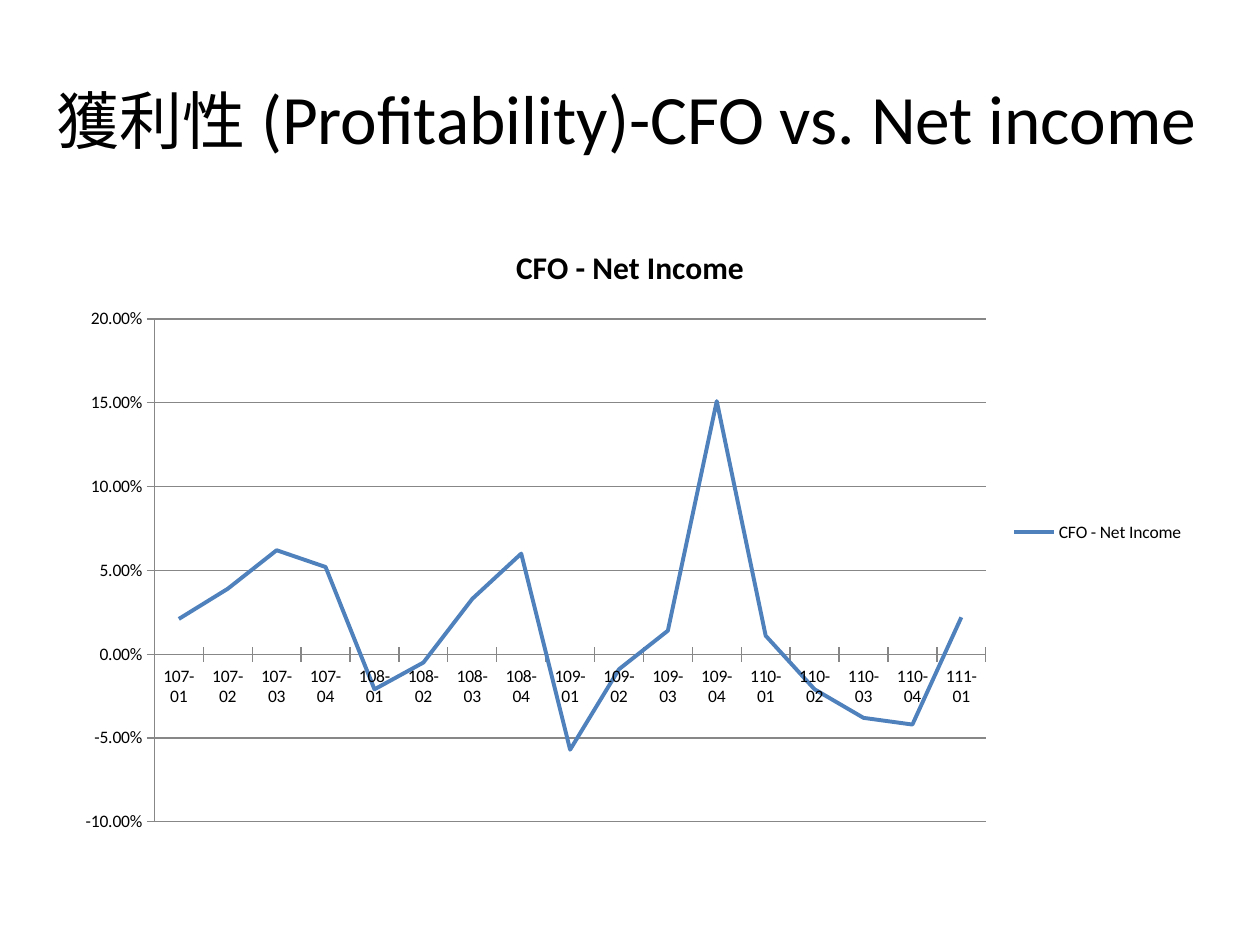
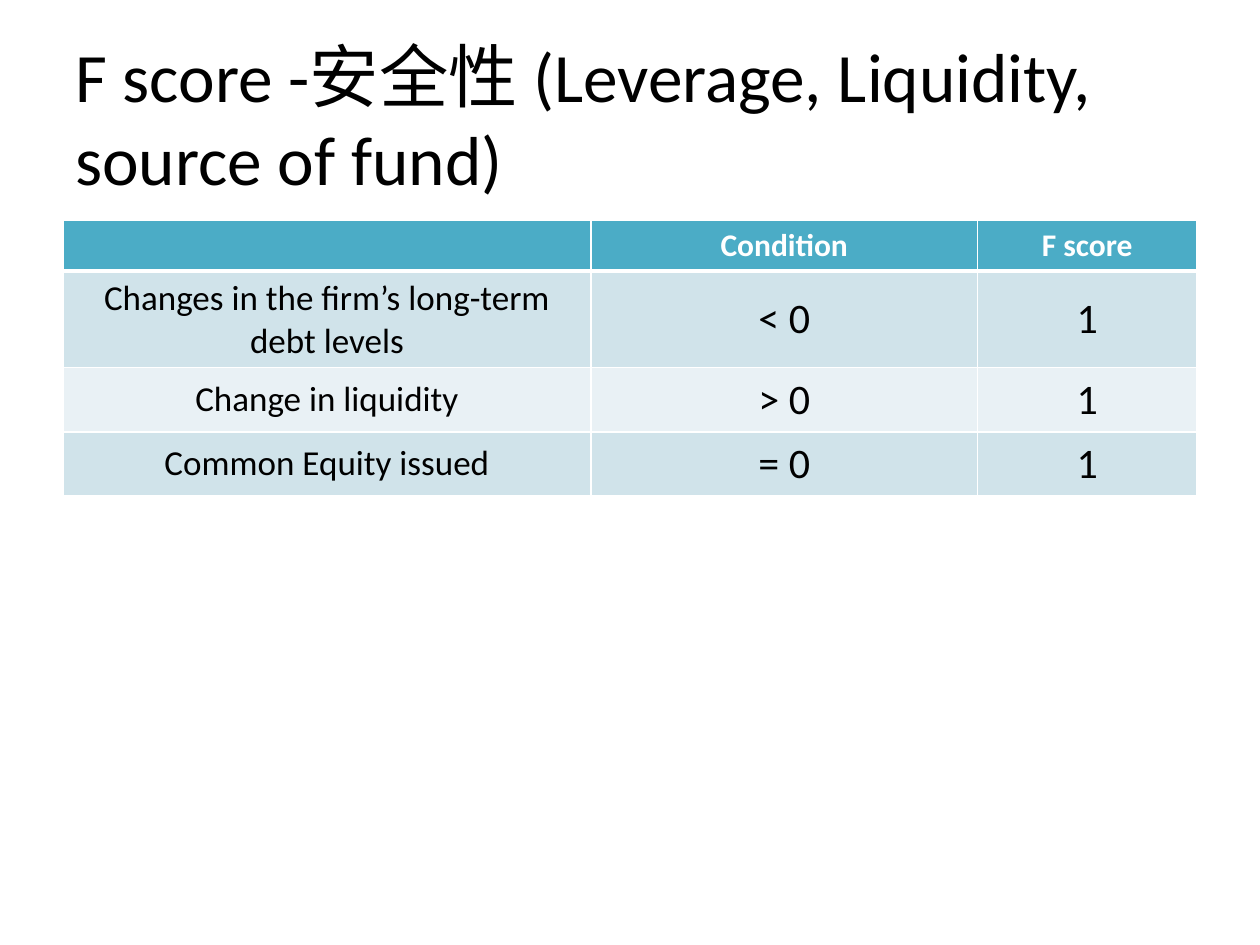
from pptx import Presentation
from pptx.chart.data import CategoryChartData
from pptx.dml.color import RGBColor
from pptx.enum.chart import XL_CHART_TYPE, XL_LEGEND_POSITION, XL_TICK_MARK
from pptx.enum.text import MSO_ANCHOR, PP_ALIGN
from pptx.oxml import parse_xml
from pptx.oxml.ns import nsdecls
from pptx.util import Inches, Pt

LINE_CHART = XL_CHART_TYPE.LINE
LEGEND_RIGHT = XL_LEGEND_POSITION.RIGHT
TICK_CROSS = XL_TICK_MARK.CROSS
MIDDLE = MSO_ANCHOR.MIDDLE
TOP = MSO_ANCHOR.TOP
CENTER = PP_ALIGN.CENTER
LEFT = PP_ALIGN.LEFT

BLACK = RGBColor(0x00, 0x00, 0x00)
WHITE = RGBColor(0xFF, 0xFF, 0xFF)
AXIS_GRAY = RGBColor(0x87, 0x87, 0x87)
SERIES_BLUE = RGBColor(0x4F, 0x81, 0xBD)
HEADER_TEAL = RGBColor(0x4B, 0xAC, 0xC6)
BANDS = (RGBColor(0xD0, 0xE3, 0xEA), RGBColor(0xE9, 0xF1, 0xF5))

FONT = "Calibri"
TITLE_SIZE = 39.6
BODY_LEFT, BODY_TOP, BODY_WIDTH = 0.5, 1.75, 9

CHART_NAME = "CFO - Net Income"
QUARTERS = [f"{year}-{quarter:02}" for year in range(107, 111) for quarter in range(1, 5)] + ["111-01"]
CFO_LESS_INCOME = (0.021, 0.039, 0.062, 0.052, -0.021, -0.005, 0.033, 0.06, -0.057,
                   -0.009, 0.014, 0.151, 0.011, -0.021, -0.038, -0.042, 0.022)

SCORE_ROWS = (
    ("", "Condition", "F score"),
    ("Changes in the firm’s long-term debt levels", "< 0", "1"),
    ("Change in liquidity", "> 0", "1"),
    ("Common Equity issued", "= 0", "1"),
)
COLUMN_WIDTHS = (4.19, 3.07, 1.74)
ROW_HEIGHTS = (0.39, 0.76, 0.51, 0.51)


def format_font(font, size, color=BLACK, bold=False):
    font.color.rgb = color
    for name, value in {"name": FONT, "size": Pt(size), "bold": bold}.items():
        setattr(font, name, value)


def add_title(slide, left, width, runs):
    """Add a slide title from (text, size) runs."""
    box = slide.shapes.add_textbox(Inches(left), Inches(0.3), Inches(width), Inches(1.25))
    frame = box.text_frame
    frame.word_wrap = True
    frame.vertical_anchor = MIDDLE
    paragraph = frame.paragraphs[0]
    paragraph.alignment = LEFT
    for text, size in runs:
        run = paragraph.add_run()
        run.text = text
        format_font(run.font, size)


def format_line(line, color, width):
    line.color.rgb = color
    line.width = Pt(width)


def add_line_chart(slide):
    data = CategoryChartData(number_format="0.00%")
    data.categories = QUARTERS
    data.add_series(CHART_NAME, CFO_LESS_INCOME)
    chart = slide.shapes.add_chart(LINE_CHART, Inches(BODY_LEFT), Inches(BODY_TOP),
                                   Inches(BODY_WIDTH), Inches(4.95), data).chart
    format_font(chart.font, 10)

    chart.has_title = True
    chart.chart_title.include_in_layout = False
    title = chart.chart_title.text_frame
    title.text = CHART_NAME
    format_font(title.paragraphs[0].runs[0].font, 18, bold=True)

    chart.has_legend = True
    chart.legend.position = LEGEND_RIGHT
    chart.legend.include_in_layout = False

    for axis in (chart.category_axis, chart.value_axis):
        axis.major_tick_mark = TICK_CROSS
        format_line(axis.format.line, AXIS_GRAY, 0.75)
    values = chart.value_axis
    values.minimum_scale, values.maximum_scale, values.major_unit = -0.1, 0.2, 0.05
    values.tick_labels.number_format = "0.00%"
    values.tick_labels.number_format_is_linked = False
    values.has_major_gridlines = True
    format_line(values.major_gridlines.format.line, AXIS_GRAY, 0.75)

    plot = chart.plots[0]
    plot.vary_by_categories = False
    series = plot.series[0]
    series.smooth = False
    format_line(series.format.line, SERIES_BLUE, 2.25)


def set_borders(cell, bottom_width):
    """Draw white cell borders, 1 point wide except at the bottom."""
    properties = cell._tc.get_or_add_tcPr()
    widths = {"lnL": 1, "lnR": 1, "lnT": 1, "lnB": bottom_width}
    for position, (tag, width) in enumerate(widths.items()):
        properties.insert(position, parse_xml(
            f'<a:{tag} {nsdecls("a")} w="{Pt(width)}"><a:solidFill>'
            f'<a:srgbClr val="{WHITE}"/></a:solidFill></a:{tag}>'))


def fill_cell(cell, text, size, color, fill, anchor, bold):
    cell.fill.solid()
    cell.fill.fore_color.rgb = fill
    cell.vertical_anchor = anchor
    cell.text = text
    paragraph = cell.text_frame.paragraphs[0]
    paragraph.alignment = CENTER
    format_font(paragraph.font, size, color, bold)
    for run in paragraph.runs:
        format_font(run.font, size, color, bold)


def add_score_table(slide):
    table = slide.shapes.add_table(len(SCORE_ROWS), len(COLUMN_WIDTHS), Inches(BODY_LEFT),
                                   Inches(BODY_TOP), Inches(BODY_WIDTH),
                                   Inches(sum(ROW_HEIGHTS))).table
    for column, width in zip(table.columns, COLUMN_WIDTHS):
        column.width = Inches(width)
    for row, height in zip(table.rows, ROW_HEIGHTS):
        row.height = Inches(height)
    for row_index, texts in enumerate(SCORE_ROWS):
        for column_index, text in enumerate(texts):
            cell = table.cell(row_index, column_index)
            if row_index == 0:
                fill_cell(cell, text, 18, WHITE, HEADER_TEAL, TOP, True)
            else:
                size = 20 if column_index == 0 else 24
                fill_cell(cell, text, size, BLACK, BANDS[(row_index - 1) % 2], MIDDLE, False)
            set_borders(cell, 3 if row_index == 0 else 1)
            if row_index == 1:
                cell._tc.tcPr.find("{*}lnT").set("w", str(Pt(3)))


def main():
    presentation = Presentation()
    presentation.slide_width, presentation.slide_height = Inches(10), Inches(7.5)
    blank = presentation.slide_layouts[6]

    profitability = presentation.slides.add_slide(blank)
    add_title(profitability, 0.35, 9.45,
              [("獲利性", 36), (" (Profitability)-CFO vs. Net income", TITLE_SIZE)])
    add_line_chart(profitability)

    safety = presentation.slides.add_slide(blank)
    add_title(safety, BODY_LEFT, BODY_WIDTH,
              [("F score -安全性 (Leverage, Liquidity, source of fund)", TITLE_SIZE)])
    add_score_table(safety)

    presentation.save("out.pptx")


if __name__ == "__main__":
    main()
